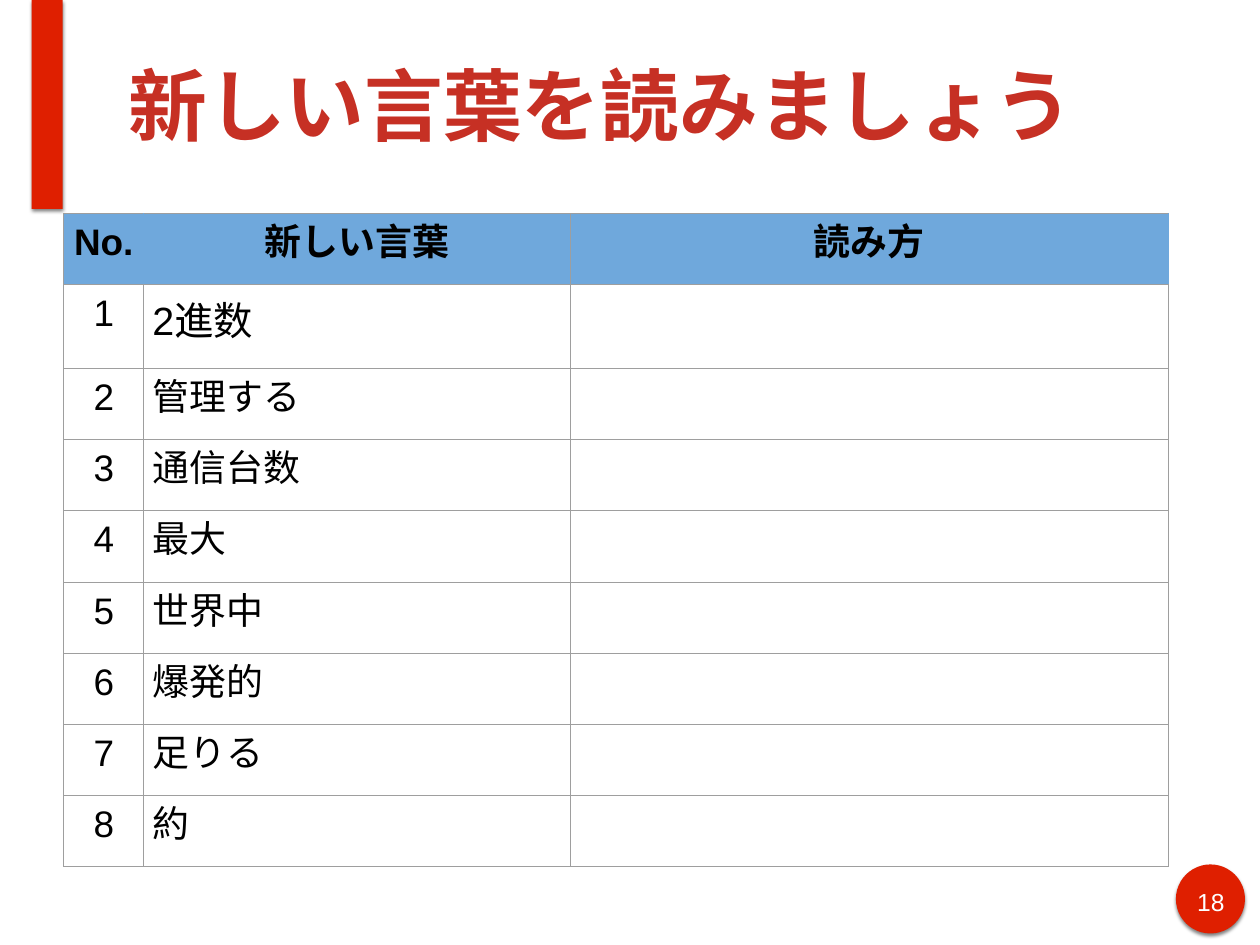
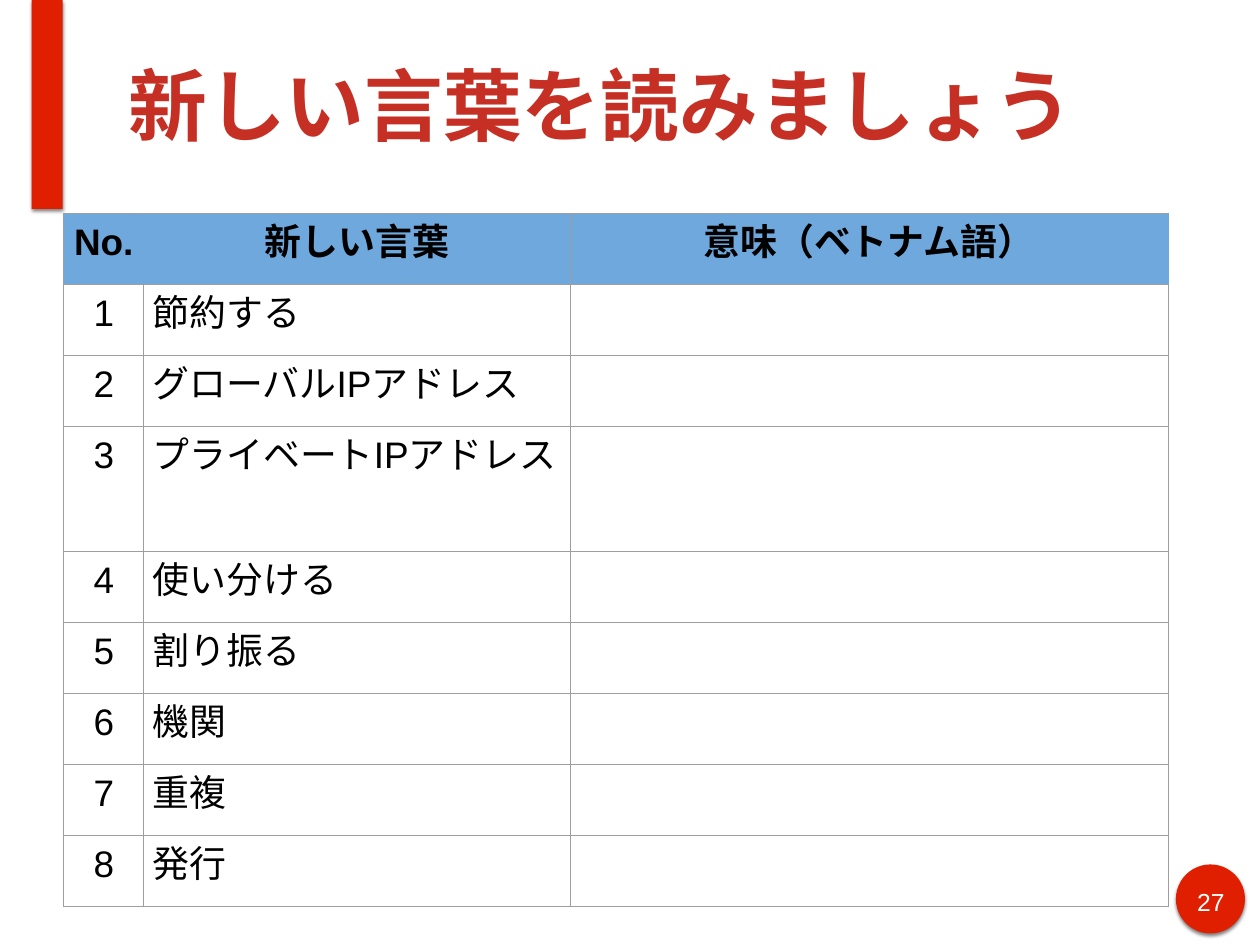
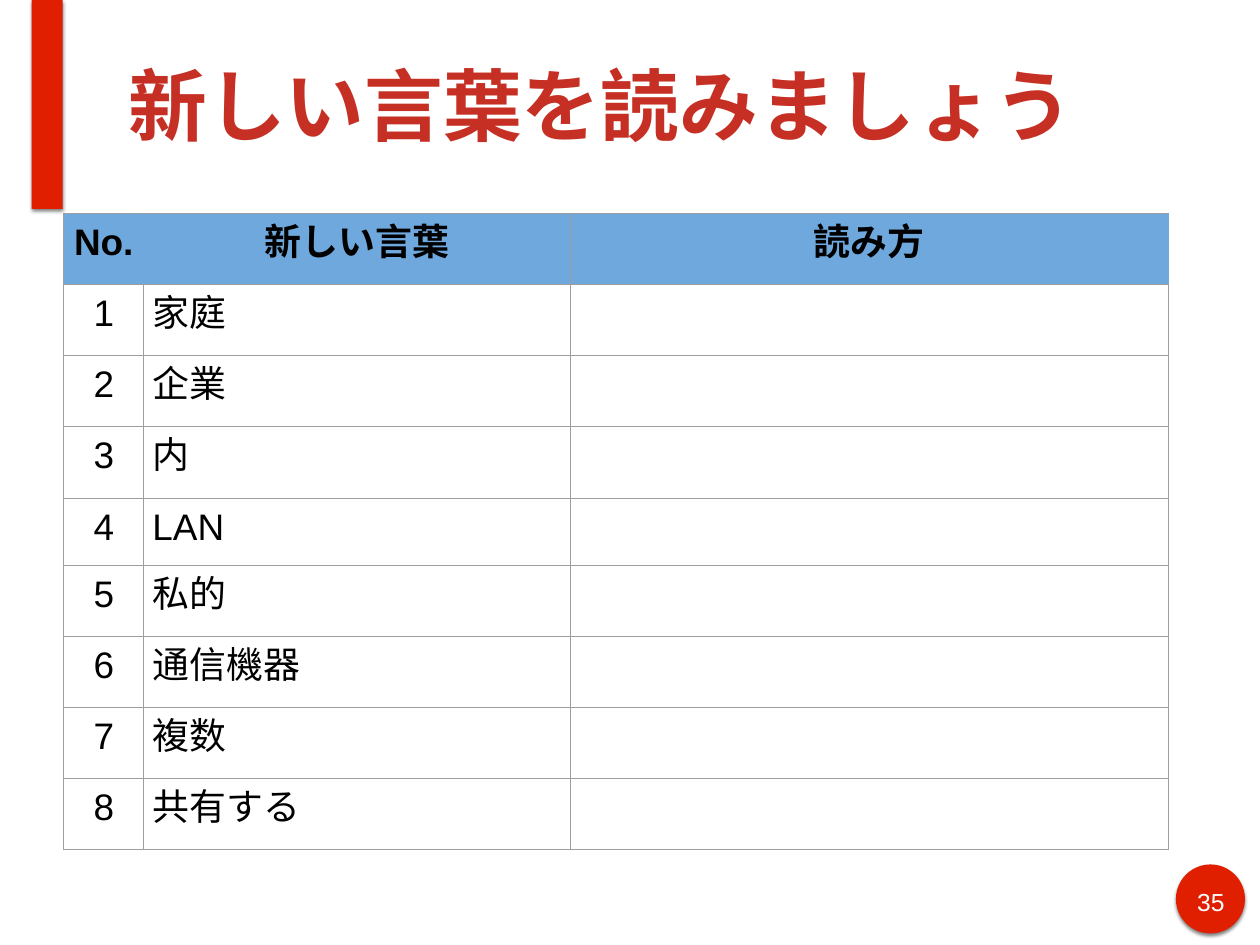
from lxml import etree
from pptx import Presentation
from pptx.dml.color import RGBColor
from pptx.enum.shapes import MSO_SHAPE
from pptx.enum.text import MSO_ANCHOR, MSO_AUTO_SIZE, PP_ALIGN
from pptx.oxml import parse_xml
from pptx.oxml.ns import nsdecls, qn
from pptx.util import Cm, Pt

RECT, OVAL = MSO_SHAPE.RECTANGLE, MSO_SHAPE.OVAL
LEFT, CENTER = PP_ALIGN.LEFT, PP_ALIGN.CENTER
MIDDLE = MSO_ANCHOR.MIDDLE
NO_FIT = MSO_AUTO_SIZE.NONE

RED = RGBColor(0xDF, 0x1F, 0x00)
BRICK = RGBColor(0xC6, 0x30, 0x24)
BLUE = RGBColor(0x6F, 0xA8, 0xDC)
GRAY = RGBColor(0x9E, 0x9E, 0x9E)
BLACK = RGBColor(0, 0, 0)
WHITE = RGBColor(255, 255, 255)
FONT = "Arial"

TITLE = "新しい言葉を読みましょう"
READ = "読み方"
MEAN = "意味（ベトナム語）"
LARGE = "2進数"  # set larger than the other words
LONG = "プライベートIPアドレス"  # wraps to two lines
LATIN = "LAN"
PAGES = [
    (18, READ, [LARGE, "管理する", "通信台数", "最大",
                "世界中", "爆発的", "足りる", "約"]),
    (27, MEAN, ["節約する", "グローバルIPアドレス", LONG,
                "使い分ける", "割り振る", "機関", "重複", "発行"]),
    (35, READ, ["家庭", "企業", "内", LATIN,
                "私的", "通信機器", "複数", "共有する"]),
]

# Left, top, width, height in centimetres
BAND = (0.91, 0, 0.89, 5.99)
DISC = (33.71, 24.79, 1.98, 1.98)
NUMBER = (34.09, 25.27, 1.24, 1)
HEAD = (3.53, 0.3, 30.84, 5.38)
COLS = (2.29, 12.22, 17.14)
GRID_X, GRID_Y = 1.83, 6.12
ROW = 2.04
ROWS = {LARGE: 2.41, LONG: 3.56, LATIN: 1.93}  # rows unlike the rest
INSET, PAD = Cm(0.15), Cm(0.25)


def box(rect):
    return [Cm(v) for v in rect]


def style(para, size, color, bold=False, align=LEFT):
    para.alignment = align
    font = para.font
    font.name, font.size, font.bold = FONT, Pt(size), bold
    font.color.rgb = color
    # East Asian text takes its font from a separate element
    props = para._p.pPr.find(qn("a:defRPr"))
    etree.SubElement(props, qn("a:ea"), typeface=FONT)


def pad(part, gap):
    part.margin_left = part.margin_right = gap
    part.margin_top = part.margin_bottom = gap


def shade(shape):
    """Give a shape a soft shadow straight below it."""
    shape.shadow.inherit = False
    effects = shape.element.spPr.find(qn("a:effectLst"))
    effects.append(parse_xml(
        f'<a:outerShdw {nsdecls("a")} blurRad="{Pt(3)}" dist="{Pt(2)}" '
        'dir="5400000" rotWithShape="0"><a:srgbClr val="000000">'
        '<a:alpha val="50000"/></a:srgbClr></a:outerShdw>'))


def set_layout(layout, slide):
    """Draw the band and disc, then move them to the shared layout."""
    for holder in list(layout.placeholders)[1:]:
        layout.shapes.element.remove(holder.element)
    for kind, rect in ((RECT, BAND), (OVAL, DISC)):
        shape = slide.shapes.add_shape(kind, *box(rect))
        shape.fill.solid()
        shape.fill.fore_color.rgb = RED
        shape.line.fill.background()
        shade(shape)
        layout.shapes.element.append(shape.element)


def edge(cell, side, color):
    props = cell._tc.get_or_add_tcPr()
    line = etree.SubElement(props, qn(f"a:ln{side}"), w=str(Pt(0.75)))
    fill = etree.SubElement(line, qn("a:solidFill"))
    etree.SubElement(fill, qn("a:srgbClr"), val=str(color))


def add_title(slide):
    title = slide.shapes.title
    title.left, title.top, title.width, title.height = box(HEAD)
    frame = title.text_frame
    frame.text = TITLE
    frame.auto_size, frame.vertical_anchor = NO_FIT, MIDDLE
    pad(frame, INSET)
    style(frame.paragraphs[0], 64, BRICK, bold=True)


def add_number(slide, number):
    frame = slide.shapes.add_textbox(*box(NUMBER)).text_frame
    frame.word_wrap = True
    frame.text = str(number)
    pad(frame, INSET)
    style(frame.paragraphs[0], 20, WHITE, align=CENTER)


def fill_cell(cell, text, row, col):
    head = row == 0
    for side in "LRTB":
        open_side = head and (col, side) in ((0, "R"), (1, "L"), (2, "R"))
        edge(cell, side, BLUE if open_side else GRAY)
    if head:
        cell.fill.solid()
        cell.fill.fore_color.rgb = BLUE
    else:
        cell.fill.background()
    pad(cell, PAD)
    if not text:
        return
    cell.text = text
    para = cell.text_frame.paragraphs[0]
    if text == LARGE:
        para.line_spacing, para.space_after = 1.15, Pt(25)
    style(para, 32 if text == LARGE else 30, BLACK, bold=head,
          align=CENTER if head or col == 0 else LEFT)


def add_words(slide, heading, words):
    rows = [("No.", "新しい言葉", heading)]
    rows += [(str(n), word, "") for n, word in enumerate(words, 1)]
    heights = [ROWS.get(word, ROW) for _, word, _ in rows]
    rect = (GRID_X, GRID_Y, sum(COLS), sum(heights))
    table = slide.shapes.add_table(len(rows), len(COLS), *box(rect)).table
    table.first_row = table.horz_banding = False
    for col, width in zip(table.columns, COLS):
        col.width = Cm(width)
    for r, texts in enumerate(rows):
        table.rows[r].height = Cm(heights[r])
        for c, text in enumerate(texts):
            fill_cell(table.cell(r, c), text, r, c)


def main():
    prs = Presentation()
    prs.slide_width, prs.slide_height = Cm(36.12), Cm(27.1)
    layout = prs.slide_layouts[5]
    for i, (number, heading, words) in enumerate(PAGES):
        slide = prs.slides.add_slide(layout)
        if i == 0:
            set_layout(layout, slide)
        add_title(slide)
        add_number(slide, number)
        add_words(slide, heading, words)
    prs.save("out.pptx")


if __name__ == "__main__":
    main()
